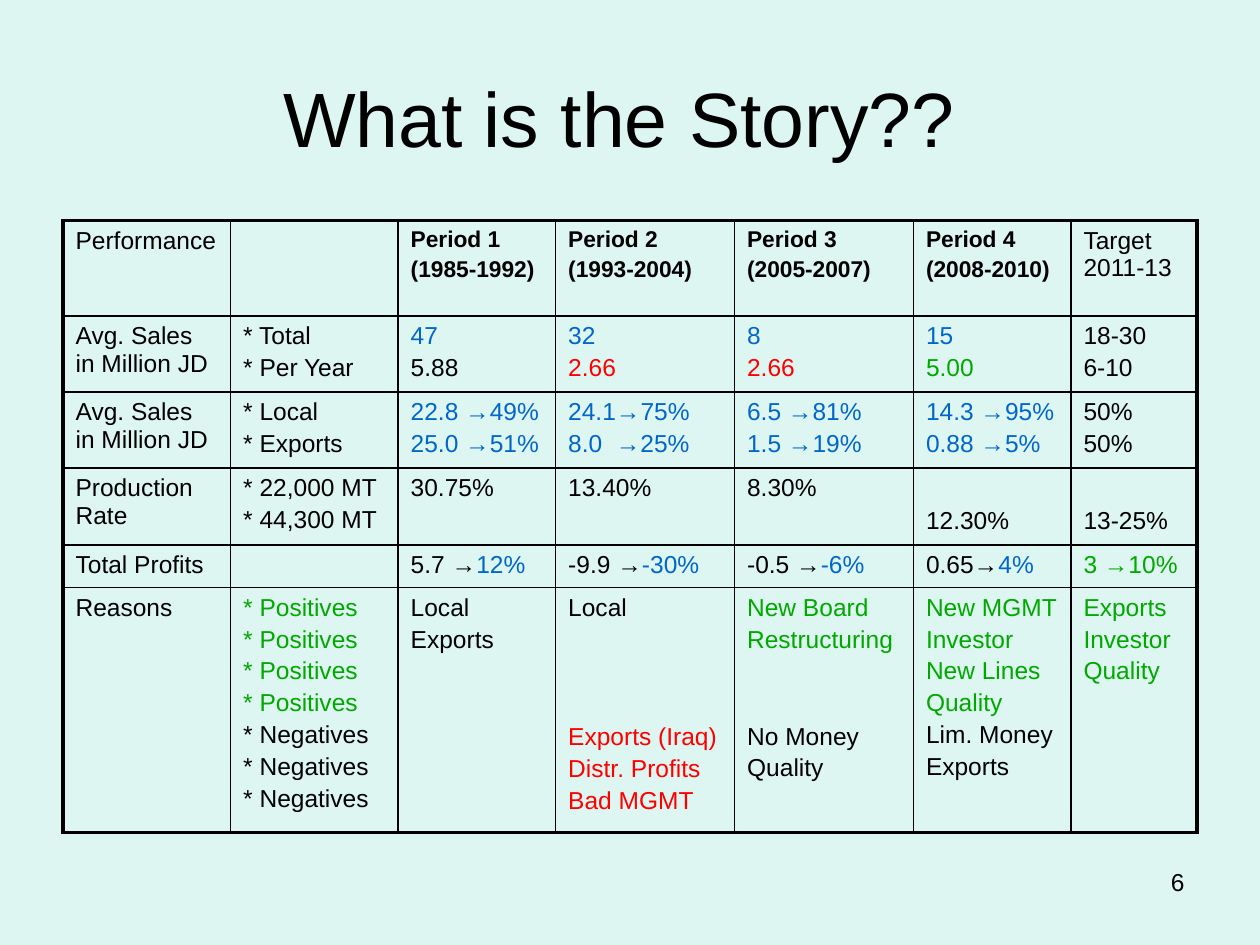
from lxml import etree
from pptx import Presentation
from pptx.dml.color import RGBColor
from pptx.enum.text import MSO_ANCHOR, PP_ALIGN
from pptx.oxml.ns import qn
from pptx.util import Inches, Pt

CENTER, RIGHT = PP_ALIGN.CENTER, PP_ALIGN.RIGHT
TOP, MIDDLE = MSO_ANCHOR.TOP, MSO_ANCHOR.MIDDLE

COLORS = {"paper": "DEF6F1", "black": "000000", "blue": "0066CC",
          "red": "FF0000", "green": "00A800"}
FONT = "Arial"
BODY_SIZE, HEADER_SIZE = 14, 13
LINE_GAP = 2.5
LINE_STEP = 18.6
CELL_MARGIN = 0.05
THIN, THICK = 1, 2.25

TITLE = "What is the Story?? "
PAGE_NUMBER = "6"
COLUMN_WIDTHS = [1.33, 1.33, 1.25, 1.42, 1.42, 1.25, 1]
ROW_HEIGHTS = [0.76, 0.58, 0.58, 0.61, 0.34, 1.86]

# Each cell lists (color, lines) groups; an empty line leaves a gap.
ROWS = [
    [[("black", ["Performance"])], [],
     [("black", ["Period 1", "(1985-1992)"])],
     [("black", ["Period 2", "(1993-2004)"])],
     [("black", ["Period 3", "(2005-2007)"])],
     [("black", ["Period 4", "(2008-2010)"])],
     [("black", ["Target 2011-13"])]],
    [[("black", ["Avg. Sales in Million JD"])],
     [("black", ["* Total", "* Per Year"])],
     [("blue", ["47"]), ("black", ["5.88"])],
     [("blue", ["32"]), ("red", ["2.66"])],
     [("blue", ["8"]), ("red", ["2.66"])],
     [("blue", ["15"]), ("green", ["5.00"])],
     [("black", ["18-30", "6-10"])]],
    [[("black", ["Avg. Sales in Million JD"])],
     [("black", ["* Local", "* Exports"])],
     [("blue", ["22.8 →49%", "25.0 →51%"])],
     [("blue", ["24.1→75%", "8.0  →25%"])],
     [("blue", ["6.5 →81%", "1.5 →19%"])],
     [("blue", ["14.3 →95%", "0.88 →5%"])],
     [("black", ["50%", "50%"])]],
    [[("black", ["Production Rate"])],
     [("black", ["* 22,000 MT", "* 44,300 MT"])],
     [("black", ["30.75%"])], [("black", ["13.40%"])], [("black", ["8.30%"])],
     [("black", ["", "12.30%"])], [("black", ["", "13-25%"])]],
    [[("black", ["Total Profits"])], [],
     [("black", [[("5.7 →", "black"), ("12%", "blue")]])],
     [("black", [[("-9.9 →", "black"), ("-30%", "blue")]])],
     [("black", [[("-0.5 →", "black"), ("-6%", "blue")]])],
     [("black", [[("0.65→", "black"), ("4%", "blue")]])],
     [("green", ["3 →10%"])]],
    [[("black", ["Reasons"])],
     [("green", ["* Positives"] * 4), ("black", ["* Negatives"] * 3)],
     [("black", ["Local", "Exports"])],
     [("black", ["Local", "", "", ""]),
      ("red", ["Exports (Iraq)", "Distr. Profits", "Bad MGMT"])],
     [("green", ["New Board", "Restructuring"]),
      ("black", ["", "", "No Money", "Quality"])],
     [("green", ["New MGMT", "Investor", "New Lines", "Quality"]),
      ("black", ["Lim. Money", "Exports"])],
     [("green", ["Exports", "Investor", "Quality"])]],
]


def add_span(para, text, size, color="black", bold=False):
    span = para.add_run()
    span.text = text
    span.font.name = FONT
    span.font.size = Pt(size)
    span.font.bold = bold
    span.font.color.rgb = RGBColor.from_string(COLORS[color])


def add_label(page, text, left, top, width, height, size, align, anchor):
    box = page.shapes.add_textbox(Inches(left), Inches(top), Inches(width), Inches(height))
    frame = box.text_frame
    frame.word_wrap = True
    frame.vertical_anchor = anchor
    para = frame.paragraphs[0]
    para.alignment = align
    add_span(para, text, size)


def fill_cell(cell, groups, size, bold):
    frame = cell.text_frame
    cell.margin_top = cell.margin_bottom = Inches(CELL_MARGIN)
    para, skipped = None, 0
    for color, lines in groups:
        for line in lines:
            if not line:
                skipped += 1
                continue
            if para is None:
                para = frame.paragraphs[0]
                cell.margin_top = Inches(CELL_MARGIN) + Pt(skipped * LINE_STEP)
            else:
                para = frame.add_paragraph()
                para.space_before = Pt(LINE_GAP + skipped * LINE_STEP)
            skipped = 0
            spans = [(line, color)] if isinstance(line, str) else line
            for text, span_color in spans:
                add_span(para, text, size, span_color, bold)
    if para is None:
        end = etree.SubElement(frame.paragraphs[0]._p, qn("a:endParaRPr"))
        end.set("sz", str(size * 100))


def set_borders(cell, widths):
    properties = cell._tc.get_or_add_tcPr()
    for side, width in zip("LRTB", widths):
        line = etree.SubElement(properties, qn("a:ln" + side), w=str(Pt(width)))
        fill = etree.SubElement(line, qn("a:solidFill"))
        etree.SubElement(fill, qn("a:srgbClr"), val=COLORS["black"])


def add_performance_table(page):
    table = page.shapes.add_table(
        len(ROWS), len(COLUMN_WIDTHS), Inches(0.5), Inches(1.75),
        Inches(sum(COLUMN_WIDTHS)), Inches(sum(ROW_HEIGHTS))).table
    table.first_row = table.horz_banding = False
    for column, width in zip(table.columns, COLUMN_WIDTHS):
        column.width = Inches(width)
    last_row, last_column = len(ROWS) - 1, len(COLUMN_WIDTHS) - 1
    for r, groups_row in enumerate(ROWS):
        table.rows[r].height = Inches(ROW_HEIGHTS[r])
        for c, groups in enumerate(groups_row):
            cell = table.cell(r, c)
            is_period = r == 0 and 0 < c < last_column
            fill_cell(cell, groups, HEADER_SIZE if is_period else BODY_SIZE, is_period)
            edges = (c == 0, c == last_column, r == 0, r == last_row)
            set_borders(cell, [THICK if edge else THIN for edge in edges])
            cell.fill.background()


def main():
    deck = Presentation()
    deck.slide_width, deck.slide_height = Inches(10), Inches(7.5)
    page = deck.slides.add_slide(deck.slide_layouts[6])
    page.background.fill.solid()
    page.background.fill.fore_color.rgb = RGBColor.from_string(COLORS["paper"])
    add_label(page, PAGE_NUMBER, 7.17, 6.83, 2.33, 0.52, 14, RIGHT, TOP)
    add_label(page, TITLE, 0.5, 0.3, 9, 1.25, 44, CENTER, MIDDLE)
    add_performance_table(page)
    deck.save("out.pptx")


if __name__ == "__main__":
    main()
